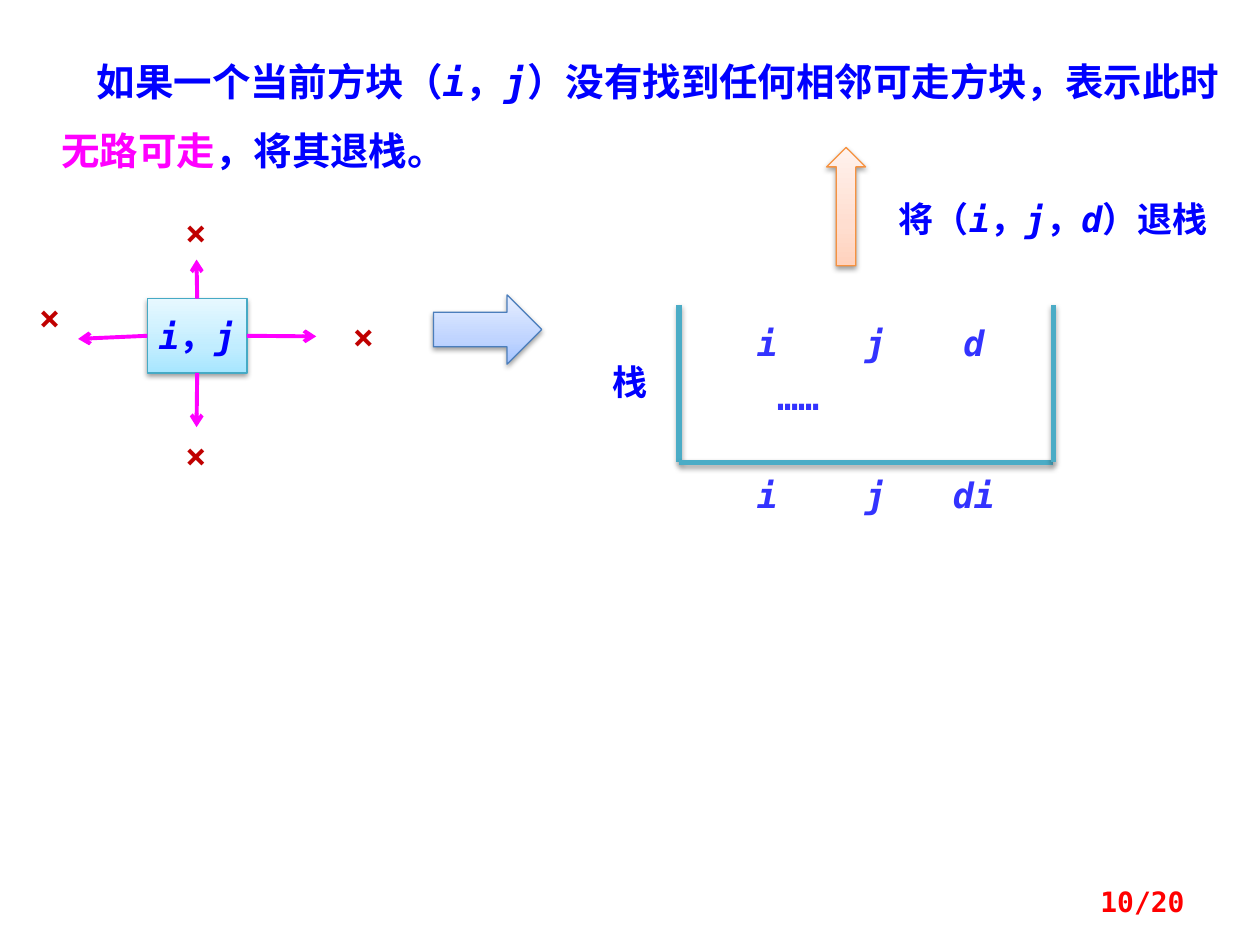
from dataclasses import dataclass

from lxml.etree import SubElement
from pptx import Presentation
from pptx.dml.color import RGBColor
from pptx.enum.lang import MSO_LANGUAGE_ID
from pptx.enum.shapes import MSO_CONNECTOR, MSO_SHAPE
from pptx.enum.text import MSO_ANCHOR, MSO_AUTO_SIZE, PP_ALIGN
from pptx.oxml import parse_xml
from pptx.oxml.ns import nsdecls, qn
from pptx.util import Inches, Pt


@dataclass(frozen=True)
class Theme:
    font: str = "DejaVu Sans Mono"
    body: int = 22
    label: int = 20
    page: int = 16
    blue: str = "0000FF"
    soft_blue: str = "3333FF"
    magenta: str = "FF00FF"
    dark_red: str = "C00000"
    red: str = "FF0000"
    teal: str = "4BACC6"
    block: tuple = ("A7E6FF", "C1EDFF", "E7F8FF", "46AAC5")
    pop: tuple = ("FFD2BD", "FFDED0", "FFF2ED", "F69240")
    then: tuple = ("A4C4FF", "BFD4FF", "E6EEFF", "4B7EBC")


THEME = Theme()


def add_runs(paragraph, parts, size, color):
    for part in parts:
        text, run_color = part if isinstance(part, tuple) else (part, color)
        run = paragraph.add_run()
        run.text = text
        font = run.font
        font.name = THEME.font
        font.size = Pt(size)
        font.bold = True
        font.italic = text in ("i", "j", "d", "di")
        font.color.rgb = RGBColor.from_string(run_color)
        font.language_id = MSO_LANGUAGE_ID.SIMPLIFIED_CHINESE
        east_asian = SubElement(run._r.rPr, qn("a:ea"))
        east_asian.set("typeface", THEME.font)


def add_text(slide, box, parts, color, size=THEME.label, align=PP_ALIGN.CENTER):
    frame = slide.shapes.add_textbox(*map(Inches, box)).text_frame
    frame.word_wrap = True
    frame.auto_size = MSO_AUTO_SIZE.SHAPE_TO_FIT_TEXT
    paragraph = frame.paragraphs[0]
    paragraph.alignment = align
    add_runs(paragraph, parts, size, color)
    return frame


def set_effects(properties, alpha=None, distance=0):
    effects = SubElement(properties, qn("a:effectLst"))
    if alpha:
        shadow = SubElement(effects, qn("a:outerShdw"), blurRad=str(Pt(3.1)),
                            dist=str(Pt(distance)), dir="5400000", rotWithShape="0")
        black = SubElement(shadow, qn("a:srgbClr"), val="000000")
        SubElement(black, qn("a:alpha"), val=str(alpha * 1000))


def add_glossy_shape(slide, preset, box, palette):
    shape = slide.shapes.add_shape(preset, *map(Inches, box))
    *shades, edge = palette
    stops = "".join(
        f'<a:gs pos="{position * 1000}"><a:srgbClr val="{shade}"/></a:gs>'
        for position, shade in zip((0, 35, 100), shades))
    gradient = parse_xml(
        f'<a:gradFill {nsdecls("a")} rotWithShape="1"><a:gsLst>{stops}</a:gsLst>'
        '<a:lin ang="16200000" scaled="0"/></a:gradFill>')
    properties = shape._element.spPr
    properties.find(qn("a:prstGeom")).addnext(gradient)
    shape.line.color.rgb = RGBColor.from_string(edge)
    shape.line.width = Pt(0.75)
    set_effects(properties, 38, 1.6)
    return shape


def add_line(slide, start, end, color, width):
    line = slide.shapes.add_connector(MSO_CONNECTOR.STRAIGHT, *map(Inches, start + end))
    line.line.color.rgb = RGBColor.from_string(color)
    line.line.width = Pt(width)
    return line


def add_sentence(slide):
    frame = add_text(
        slide, (0.39, 0.23, 9.45, 1.15),
        ["如果一个当前方块（", "i", "，", "j", "）没有找到任何相邻可走方块，表示此时",
         ("无路可走", THEME.magenta), "，将其退栈。"],
        THEME.blue, THEME.body, PP_ALIGN.LEFT)
    paragraph = frame.paragraphs[0]
    paragraph.line_spacing = 1.5
    paragraph._p.get_or_add_pPr().set("indent", str(Inches(0.28)))


def add_blocked_square(slide):
    square = add_glossy_shape(slide, MSO_SHAPE.RECTANGLE, (1.17, 2.37, 0.79, 0.59), THEME.block)
    frame = square.text_frame
    frame.word_wrap = False
    frame.vertical_anchor = MSO_ANCHOR.MIDDLE
    frame.paragraphs[0].alignment = PP_ALIGN.CENTER
    add_runs(frame.paragraphs[0], ["i", "，", "j"], THEME.label, THEME.blue)

    directions = (
        (3, (2.51, 2.67), (2.57, 2.45)),
        (2, (1.56, 3.39), (1.24, 3.39)),
        (1, (0.62, 2.69), (0.08, 2.3)),
        (0, (1.56, 2.06), (1.24, 1.62)),
    )
    for side, tip, cross in directions:
        arrow = add_line(slide, (1.56, 2.67), tip, THEME.magenta, 2.25)
        arrow.begin_connect(square, side)
        SubElement(arrow.line._get_or_add_ln(), qn("a:tailEnd"), type="arrow")
        set_effects(arrow._element.spPr)
        add_text(slide, cross + (0.63, 0.44), ["×"], THEME.dark_red)


def add_stack(slide):
    left, right, top, bottom = 5.39, 8.36, 2.42, 3.67
    corners = [(left, top), (left, bottom), (right, bottom), (right, top)]
    for start, end in zip(corners, corners[1:]):
        wall = add_line(slide, start, end, THEME.teal, 3)
        set_effects(wall._element.spPr, 35, 1.8)

    for row_top, entries in ((2.5, ("i", "j", "d")), (3.71, ("i", "j", "di"))):
        for column, entry in zip((5.7, 6.56, 7.34), entries):
            add_text(slide, (column, row_top, 0.78, 0.44), [entry], THEME.soft_blue)
    add_text(slide, (5.63, 2.93, 1.41, 0.44), ["……"], THEME.soft_blue)
    add_text(slide, (4.53, 2.81, 0.94, 0.44), ["栈"], THEME.blue)


def add_pop_step(slide):
    add_glossy_shape(slide, MSO_SHAPE.RIGHT_ARROW, (3.44, 2.34, 0.86, 0.55), THEME.then)
    add_glossy_shape(slide, MSO_SHAPE.UP_ARROW, (6.56, 1.17, 0.31, 0.94), THEME.pop)
    add_text(slide, (7.03, 1.52, 2.66, 0.44),
             ["将（", "i", "，", "j", "，", "d", "）退栈"], THEME.blue)


def add_page_number(slide):
    frame = add_text(slide, (7.17, 6.95, 2.33, 0.4), ["10/20"],
                     THEME.red, THEME.page, PP_ALIGN.RIGHT)
    frame.auto_size = MSO_AUTO_SIZE.NONE
    frame.vertical_anchor = MSO_ANCHOR.MIDDLE


def main():
    deck = Presentation()
    deck.slide_width, deck.slide_height = Inches(10), Inches(7.5)
    slide = deck.slides.add_slide(deck.slide_layouts[6])
    add_sentence(slide)
    add_blocked_square(slide)
    add_stack(slide)
    add_pop_step(slide)
    add_page_number(slide)
    deck.save("out.pptx")


if __name__ == "__main__":
    main()
